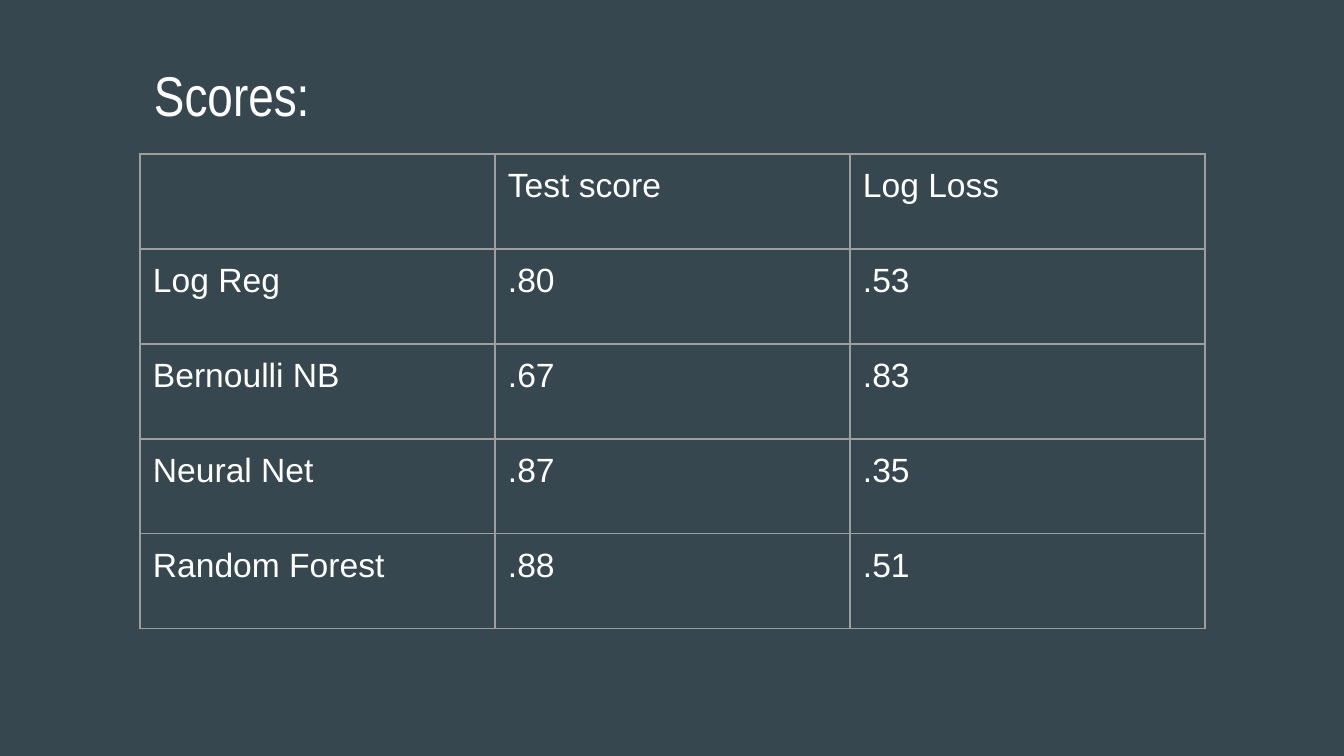
from lxml import etree
from pptx import Presentation
from pptx.dml.color import RGBColor
from pptx.enum.text import MSO_ANCHOR
from pptx.oxml.ns import qn
from pptx.util import Pt

TOP = MSO_ANCHOR.TOP
EMU_PER_PX = 914400 / 134.4
INSET = 13
WHITE = "FFFFFF"
BACKGROUND = "37474F"
GRID = "9E9E9E"

SCORES = [
    ["", "Test score", "Log Loss"],
    ["Log Reg", ".80", ".53"],
    ["Bernoulli NB", ".67", ".83"],
    ["Neural Net", ".87", ".35"],
    ["Random Forest", ".88", ".51"],
]
COLUMN_WIDTH, ROW_HEIGHT = 355, 95


def px(length):
    return round(length * EMU_PER_PX)


def write(holder, text, font_name, size):
    """Put white text with even insets into a text box or a table cell."""
    holder.margin_left = holder.margin_right = px(INSET)
    holder.margin_top = holder.margin_bottom = px(INSET)
    holder.vertical_anchor = TOP
    frame = getattr(holder, "text_frame", holder)
    frame.text = text
    font = frame.paragraphs[0].font
    for run in frame.paragraphs[0].runs:
        font = run.font
    font.name = font_name
    font.size = Pt(size)
    font.color.rgb = RGBColor.from_string(WHITE)


prs = Presentation()
prs.slide_width, prs.slide_height = px(1344), px(756)
slide = prs.slides.add_slide(prs.slide_layouts[6])
slide.background.fill.solid()
slide.background.fill.fore_color.rgb = RGBColor.from_string(BACKGROUND)

# Score table
table = slide.shapes.add_table(
    len(SCORES), len(SCORES[0]), px(140), px(154),
    px(COLUMN_WIDTH * len(SCORES[0])), px(ROW_HEIGHT * len(SCORES)),
).table
table.first_row = table.horz_banding = False
for column in table.columns:
    column.width = px(COLUMN_WIDTH)
for row in table.rows:
    row.height = px(ROW_HEIGHT)

for row_index, row_texts in enumerate(SCORES):
    for column_index, text in enumerate(row_texts):
        cell = table.cell(row_index, column_index)
        write(cell, text, "Arial", 18)
        cell.fill.background()
        properties = cell._tc.get_or_add_tcPr()
        for position, side in enumerate(("a:lnL", "a:lnR", "a:lnT", "a:lnB")):
            border = etree.Element(qn(side), w=str(Pt(0.75)))
            border_fill = etree.SubElement(border, qn("a:solidFill"))
            etree.SubElement(border_fill, qn("a:srgbClr"), val=GRID)
            properties.insert(position, border)

# Title
title = slide.shapes.add_textbox(px(141), px(48), px(1064), px(85)).text_frame
title.word_wrap = True
write(title, "Scores:", "Arial Narrow", 30)

prs.save("out.pptx")
